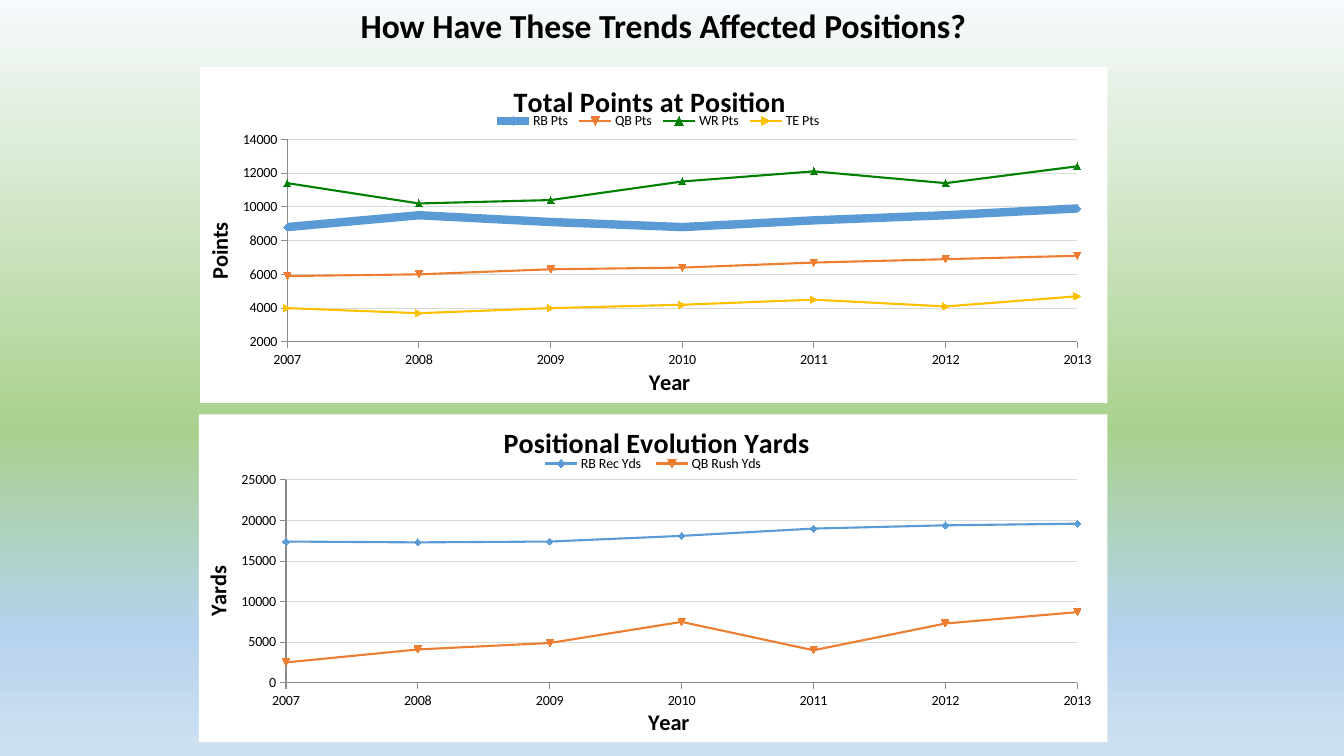
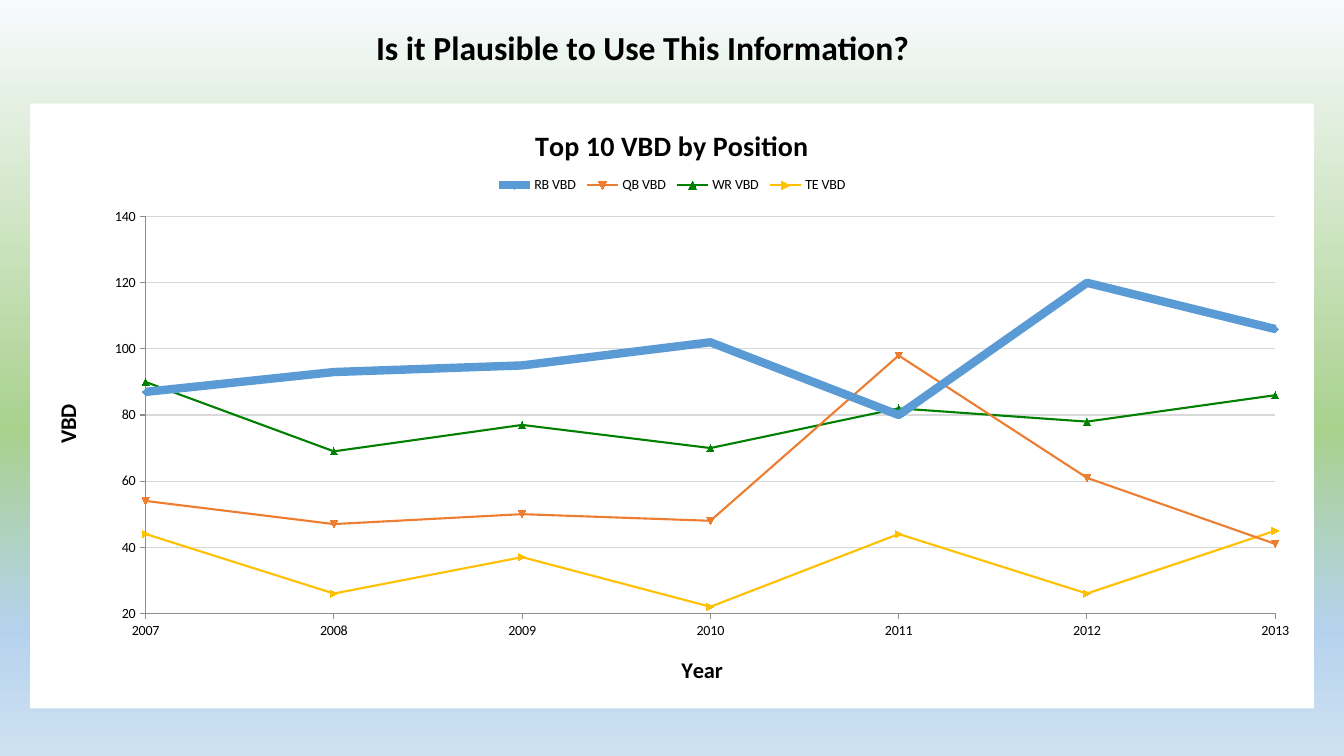
from lxml.etree import SubElement
from pptx import Presentation
from pptx.chart.data import XyChartData
from pptx.dml.color import RGBColor
from pptx.enum.chart import XL_CHART_TYPE, XL_LEGEND_POSITION, XL_MARKER_STYLE, XL_TICK_MARK
from pptx.oxml import parse_xml
from pptx.oxml.ns import nsdecls, qn
from pptx.util import Pt

# Shared look
FONT = "Calibri"
BLACK = RGBColor(0x00, 0x00, 0x00)
WHITE = RGBColor(0xFF, 0xFF, 0xFF)
GRID_GREY = RGBColor(0xD9, 0xD9, 0xD9)
AXIS_GREY = RGBColor(0x8C, 0x8C, 0x8C)
BLUE = RGBColor(0x5B, 0x9B, 0xD5)
ORANGE = RGBColor(0xED, 0x7D, 0x31)
GREEN = RGBColor(0x00, 0x80, 0x00)
GOLD = RGBColor(0xFF, 0xC0, 0x00)
SERIES_COLORS = [BLUE, ORANGE, GREEN, GOLD]
BACKGROUND_STOPS = [
    (0, RGBColor(0xF7, 0xFA, 0xFD)),
    (57, RGBColor(0xA9, 0xD1, 0x8E)),
    (83, RGBColor(0xB5, 0xD2, 0xEC)),
    (100, RGBColor(0xCE, 0xE1, 0xF2)),
]
LINE_WIDTH = 1.5
HIGHLIGHT_WIDTH = 6
YEARS = range(2007, 2014)

# Chart contents: value range is minimum, maximum, step
POINTS_CHART = {
    "title": "Total Points at Position",
    "value_title": "Points",
    "value_range": (2000, 14000, 2000),
    "highlight": "RB Pts",
    "series": {
        "RB Pts": [8800, 9500, 9100, 8800, 9200, 9500, 9900],
        "QB Pts": [5900, 6000, 6300, 6400, 6700, 6900, 7100],
        "WR Pts": [11400, 10200, 10400, 11500, 12100, 11400, 12400],
        "TE Pts": [4000, 3700, 4000, 4200, 4500, 4100, 4700],
    },
    "layout": {
        "title": (0.34, 0.03),
        "legend": (0.32, 0.13, 0.37, 0.06),
        "plot": (0.096, 0.215, 0.871, 0.604),
        "category": (0.49, 0.88),
        "value": (0, 0.45),
    },
}
YARDS_CHART = {
    "title": "Positional Evolution Yards",
    "value_title": "Yards",
    "value_range": (0, 25000, 5000),
    "highlight": None,
    "series": {
        "RB Rec Yds": [17400, 17300, 17400, 18100, 19000, 19400, 19600],
        "QB Rush Yds": [2500, 4100, 4900, 7500, 4000, 7300, 8700],
    },
    "layout": {
        "title": (0.33, 0.01),
        "legend": (0.37, 0.12, 0.26, 0.06),
        "plot": (0.096, 0.2, 0.871, 0.619),
        "category": (0.49, 0.88),
        "value": (0, 0.45),
    },
}
VBD_CHART = {
    "title": "Top 10 VBD by Position",
    "value_title": "VBD",
    "value_range": (20, 140, 20),
    "highlight": "RB VBD",
    "series": {
        "RB VBD": [87, 93, 95, 102, 80, 120, 106],
        "QB VBD": [54, 47, 50, 48, 98, 61, 41],
        "WR VBD": [90, 69, 77, 70, 82, 78, 86],
        "TE VBD": [44, 26, 37, 22, 44, 26, 45],
    },
    "layout": {
        "legend": (0.36, 0.12, 0.28, 0.03),
        "plot": (0.09, 0.187, 0.88, 0.656),
    },
}

# Slides: heading with its box, then charts with their boxes
SLIDES = [
    ("How Have These Trends Affected Positions?", (250.5, 0, 457, 36),
     [(POINTS_CHART, (143, 48, 648, 240)), (YARDS_CHART, (142, 296, 649, 235))]),
    ("Is it Plausible to Use This Information?", (261.5, 16, 400, 36),
     [(VBD_CHART, (21.5, 74, 917, 432))]),
]


def apply_format(target, values):
    for name, value in values.items():
        setattr(target, name, value)


def set_font(font, size, bold=False):
    apply_format(font, {"name": FONT, "size": Pt(size), "bold": bold})
    font.color.rgb = BLACK


def set_line(line, color, width):
    line.color.rgb = color
    line.width = Pt(width)


def write_text(text_frame, text, size):
    paragraph = text_frame.paragraphs[0]
    run = paragraph.add_run()
    run.text = text
    set_font(run.font, size, bold=True)


def set_background(master):
    fill = master.background.fill
    fill.gradient()
    fill.gradient_angle = 270
    stop_list = master.element.find(".//" + qn("p:bg")).find(".//" + qn("a:gsLst"))
    for stop in list(stop_list):
        stop_list.remove(stop)
    for position, color in BACKGROUND_STOPS:
        stop = SubElement(stop_list, qn("a:gs"), pos=str(position * 1000))
        SubElement(stop, qn("a:srgbClr"), val=str(color))


def set_layout(element, box):
    """Place a chart part by fractions of the chart area."""
    old_layout = element.find(qn("c:layout"))
    if old_layout is not None:
        element.remove(old_layout)
    is_plot = element.tag == qn("c:plotArea")
    layout = parse_xml(f"<c:layout {nsdecls('c')}><c:manualLayout/></c:layout>")
    settings = [("layoutTarget", "inner")] if is_plot else []
    settings += [("xMode", "edge"), ("yMode", "edge")]
    settings += zip("xywh", box)
    for name, value in settings:
        SubElement(layout[0], qn("c:" + name), val=str(value))
    element.insert(0 if is_plot else 1, layout)


def fill_chart_area(chart):
    chart.element.find(qn("c:chart")).addnext(parse_xml(
        f"<c:spPr {nsdecls('c', 'a')}><a:solidFill><a:srgbClr val=\"{WHITE}\"/>"
        "</a:solidFill><a:ln><a:noFill/></a:ln></c:spPr>"))


def format_axis(axis, title, value_range):
    minimum, maximum, step = value_range
    apply_format(axis, {
        "minimum_scale": minimum,
        "maximum_scale": maximum,
        "major_unit": step,
        "major_tick_mark": XL_TICK_MARK.OUTSIDE,
        "minor_tick_mark": XL_TICK_MARK.NONE,
    })
    set_line(axis.format.line, AXIS_GREY, 0.75)
    write_text(axis.axis_title.text_frame, title, 16)


def format_series(series, color, width):
    set_line(series.format.line, color, width)
    series.smooth = False
    marker = series.marker
    apply_format(marker, {"style": XL_MARKER_STYLE.AUTOMATIC, "size": 5})
    marker.format.fill.solid()
    marker.format.fill.fore_color.rgb = color
    marker.format.line.color.rgb = color


def add_trend_chart(slide, content, box):
    data = XyChartData()
    for name, values in content["series"].items():
        series = data.add_series(name)
        for year, value in zip(YEARS, values):
            series.add_data_point(year, value)
    frame = slide.shapes.add_chart(
        XL_CHART_TYPE.XY_SCATTER_LINES, *map(Pt, box), data)
    chart = frame.chart
    set_font(chart.font, 10)
    fill_chart_area(chart)

    # Title and legend
    write_text(chart.chart_title.text_frame, content["title"], 20)
    chart.has_legend = True
    apply_format(chart.legend, {
        "position": XL_LEGEND_POSITION.TOP, "include_in_layout": False})

    # Axes
    category_axis, value_axis = chart.category_axis, chart.value_axis
    format_axis(category_axis, "Year", (YEARS[0], YEARS[-1], 1))
    format_axis(value_axis, content["value_title"], content["value_range"])
    category_axis.has_major_gridlines = False
    value_axis.has_major_gridlines = True
    set_line(value_axis.major_gridlines.format.line, GRID_GREY, 0.75)
    value_title = value_axis.axis_title.element
    value_title.find(".//" + qn("a:bodyPr")).set("rot", "-5400000")

    # Series
    plot = chart.plots[0]
    plot.vary_by_categories = False
    for series, color in zip(plot.series, SERIES_COLORS):
        highlighted = series.name == content["highlight"]
        format_series(series, color, HIGHLIGHT_WIDTH if highlighted else LINE_WIDTH)

    # Positions of the parts
    parts = {
        "title": chart.chart_title.element,
        "legend": chart.element.find(".//" + qn("c:legend")),
        "plot": chart.element.find(".//" + qn("c:plotArea")),
        "category": category_axis.axis_title.element,
        "value": value_title,
    }
    for name, part_box in content["layout"].items():
        set_layout(parts[name], part_box)


def add_heading(slide, text, box):
    text_frame = slide.shapes.add_textbox(*map(Pt, box)).text_frame
    text_frame.word_wrap = True
    write_text(text_frame, text, 24)


def main():
    presentation = Presentation()
    apply_format(presentation, {"slide_width": Pt(960), "slide_height": Pt(540)})
    set_background(presentation.slide_master)
    blank_layout = presentation.slide_layouts[6]
    for heading, heading_box, charts in SLIDES:
        slide = presentation.slides.add_slide(blank_layout)
        for content, box in charts:
            add_trend_chart(slide, content, box)
        add_heading(slide, heading, heading_box)
    presentation.save("out.pptx")


if __name__ == "__main__":
    main()
